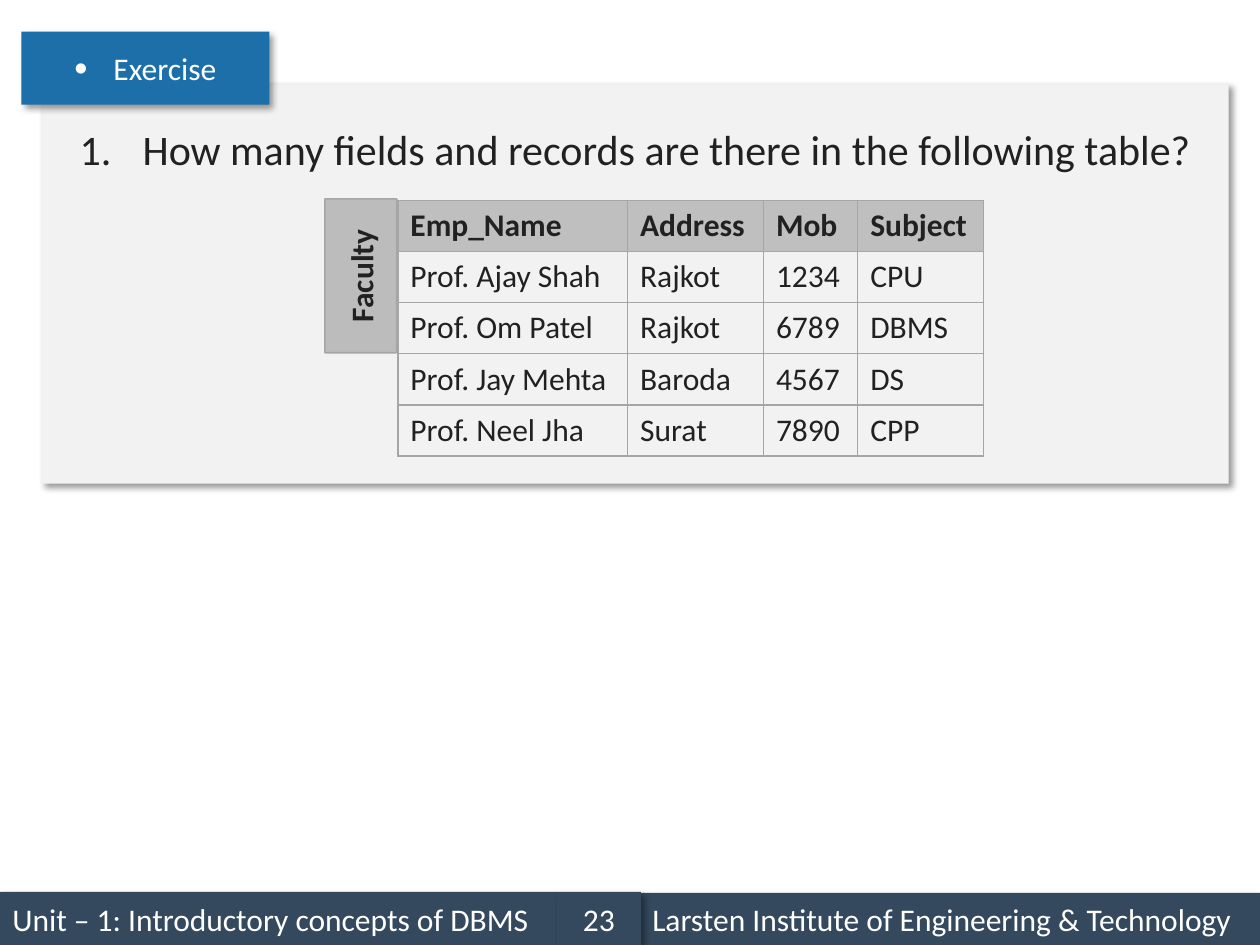
from dataclasses import dataclass
from itertools import accumulate

from lxml import etree
from pptx import Presentation
from pptx import util as u
from pptx.dml.color import RGBColor
from pptx.enum import shapes, text
from pptx.oxml import parse_xml
from pptx.oxml.ns import nsdecls, qn
from pptx.slide import Slide

WHITE = RGBColor(0xFF, 0xFF, 0xFF)
INK = RGBColor(0x21, 0x21, 0x21)
NAVY = RGBColor(0x34, 0x49, 0x5E)
BLUE = RGBColor(0x1D, 0x6F, 0xA9)
PANEL = RGBColor(0xF2, 0xF2, 0xF2)
HEADER = RGBColor(0xBF, 0xBF, 0xBF)
TAB = RGBColor(0xBC, 0xBC, 0xBC)
BORDER = RGBColor(0xA6, 0xA6, 0xA6)

TABLE_LEFT, TABLE_TOP, ROW_HEIGHT = 8.02, 4.04, 1.03
COLUMNS = (4.63, 2.74, 1.9, 2.54)
TABLES = [
    [("Emp_Name", "Address", "Mob", "Subject")],
    [("Prof. Ajay Shah", "Rajkot", "1234", "CPU")],
    [
        ("Prof. Om Patel", "Rajkot", "6789", "DBMS"),
        ("Prof. Jay Mehta", "Baroda", "4567", "DS"),
        ("Prof. Neel Jha", "Surat", "7890", "CPP"),
    ],
]


@dataclass
class Painter:
    page: Slide
    font: str = "Calibri"
    size: int = 18

    def add_words(self, frame, words, color, size=None, bold=False,
                  align=text.PP_ALIGN.LEFT):
        para = frame.paragraphs[0]
        para.alignment = align
        span = para.add_run()
        span.text = words
        span.font.name = self.font
        span.font.size = u.Pt(size or self.size)
        span.font.bold = bold
        span.font.color.rgb = color
        return para

    def paint(self, box, fill, line=None):
        box.fill.solid()
        box.fill.fore_color.rgb = fill
        if line is None:
            box.line.fill.background()
        else:
            box.line.color.rgb = line
            box.line.width = u.Pt(1)
        box.shadow.inherit = False

    def shade(self, box):
        effects = box.element.spPr.find(qn("a:effectLst"))
        effects.append(parse_xml(
            f'<a:outerShdw {nsdecls("a")} blurRad="50800" dist="38100" dir="2700000" '
            'algn="tl" rotWithShape="0"><a:srgbClr val="000000">'
            '<a:alpha val="40000"/></a:srgbClr></a:outerShdw>'))

    def place(self, box, left, top, width, height):
        box.left, box.top = u.Cm(left), u.Cm(top)
        box.width, box.height = u.Cm(width), u.Cm(height)

    def bar(self, words, left, top, width, height, align=text.PP_ALIGN.LEFT):
        box = self.page.shapes.add_shape(
            shapes.MSO_SHAPE.RECTANGLE, u.Cm(left), u.Cm(top), u.Cm(width), u.Cm(height))
        self.paint(box, NAVY)
        self.shade(box)
        box.text_frame.vertical_anchor = text.MSO_ANCHOR.MIDDLE
        self.add_words(box.text_frame, words, WHITE, align=align)

    def side_tab(self, words, left, top, width, height):
        box = self.page.shapes.add_shape(
            shapes.MSO_SHAPE.ROUNDED_RECTANGLE,
            u.Cm(left), u.Cm(top), u.Cm(width), u.Cm(height))
        box.adjustments[0] = 0.01
        self.paint(box, TAB, BORDER)
        box.text_frame.vertical_anchor = text.MSO_ANCHOR.MIDDLE
        box.element.txBody.bodyPr.set("vert", "vert270")
        self.add_words(box.text_frame, words, INK, bold=True, align=text.PP_ALIGN.CENTER)

    def card(self, box, area, corner, fill, words, color, size, hang, bullets):
        self.place(box, *area)
        box.element.spPr.append(parse_xml(
            f'<a:prstGeom {nsdecls("a")} prst="roundRect"><a:avLst>'
            f'<a:gd name="adj" fmla="val {corner}"/></a:avLst></a:prstGeom>'))
        self.paint(box, fill)
        self.shade(box)
        frame = box.text_frame
        frame.auto_size = text.MSO_AUTO_SIZE.NONE
        frame.word_wrap = True
        para = self.add_words(frame, words, color, size, align=text.PP_ALIGN.CENTER)
        para.space_before = u.Pt(0)
        props = para._p.get_or_add_pPr()
        props.set("marL", str(u.Cm(hang)))
        props.set("indent", str(-u.Cm(hang)))
        for tag, values in bullets:
            etree.SubElement(props, qn(tag), values)
        return para

    def title(self, words, *area):
        box = self.page.shapes.title
        self.card(box, area, 7700, BLUE, words, WHITE, self.size, 0.79, [
            ("a:buSzPct", {"val": "120000"}),
            ("a:buFont", {"typeface": "Arial"}),
            ("a:buChar", {"char": "•"}),
        ])
        box.text_frame.vertical_anchor = text.MSO_ANCHOR.MIDDLE
        box.element.getparent().append(box.element)

    def question(self, words, *area):
        box = self.page.placeholders[1]
        para = self.card(box, area, 0, PANEL, words, INK, 24, 1.27, [
            ("a:buFont", {"typeface": "+mj-lt"}),
            ("a:buAutoNum", {"type": "arabicPeriod"}),
        ])
        para.level = 1
        box.text_frame.margin_top = u.Cm(0.79)
        box.text_frame.vertical_anchor = text.MSO_ANCHOR.TOP

    def table(self, rows, left, top, header=False):
        grid = self.page.shapes.add_table(
            len(rows), len(COLUMNS), u.Cm(left), u.Cm(top),
            u.Cm(sum(COLUMNS)), u.Cm(ROW_HEIGHT * len(rows))).table
        grid.first_row = grid.horz_banding = False
        for column, width in zip(grid.columns, COLUMNS):
            column.width = u.Cm(width)
        for line, values in zip(grid.rows, rows):
            line.height = u.Cm(ROW_HEIGHT)
            for cell, value in zip(line.cells, values):
                self.add_words(cell.text_frame, value, INK, bold=header)
                self.frame_cell(cell)
                if header:
                    cell.fill.solid()
                    cell.fill.fore_color.rgb = HEADER
                else:
                    cell.fill.background()

    def frame_cell(self, cell):
        props = cell._tc.get_or_add_tcPr()
        for side in "LRTB":
            props.append(parse_xml(
                f'<a:ln{side} {nsdecls("a")} w="{u.Pt(1)}"><a:solidFill>'
                f'<a:srgbClr val="{BORDER}"/></a:solidFill></a:ln{side}>'))


def main():
    deck = Presentation()
    deck.slide_width, deck.slide_height = u.Cm(25.4), u.Cm(19.05)
    painter = Painter(deck.slides.add_slide(deck.slide_layouts[1]))

    painter.bar("Unit – 1: Introductory concepts of DBMS", 0, 17.98, 11.23, 1.07)
    painter.bar("Larsten Institute of Engineering & Technology", 12.9, 18, 12.5, 1.05)
    painter.bar("23", 11.23, 17.98, 1.69, 1.07, text.PP_ALIGN.CENTER)

    painter.question("How many fields and records are there in the following table?",
                     0.84, 1.7, 23.93, 8.05)
    starts = accumulate(map(len, TABLES), initial=0)
    for start, rows in zip(starts, TABLES):
        painter.table(rows, TABLE_LEFT, TABLE_TOP + ROW_HEIGHT * start, header=start == 0)
    painter.side_tab("Faculty", 6.55, 4.01, 1.45, 3.1)
    painter.title("Exercise", 0.43, 0.64, 5, 1.47)

    deck.save("out.pptx")


if __name__ == "__main__":
    main()
